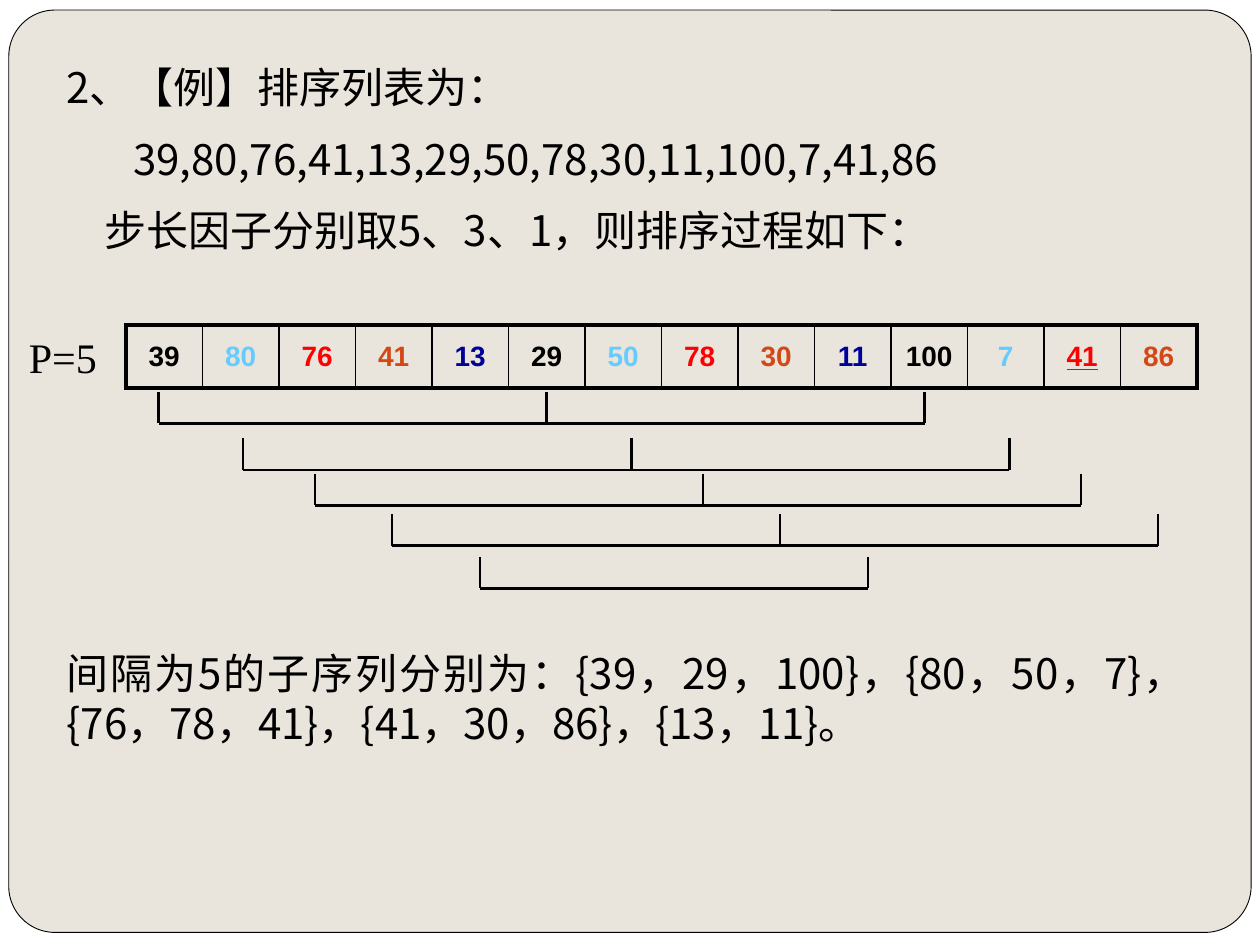
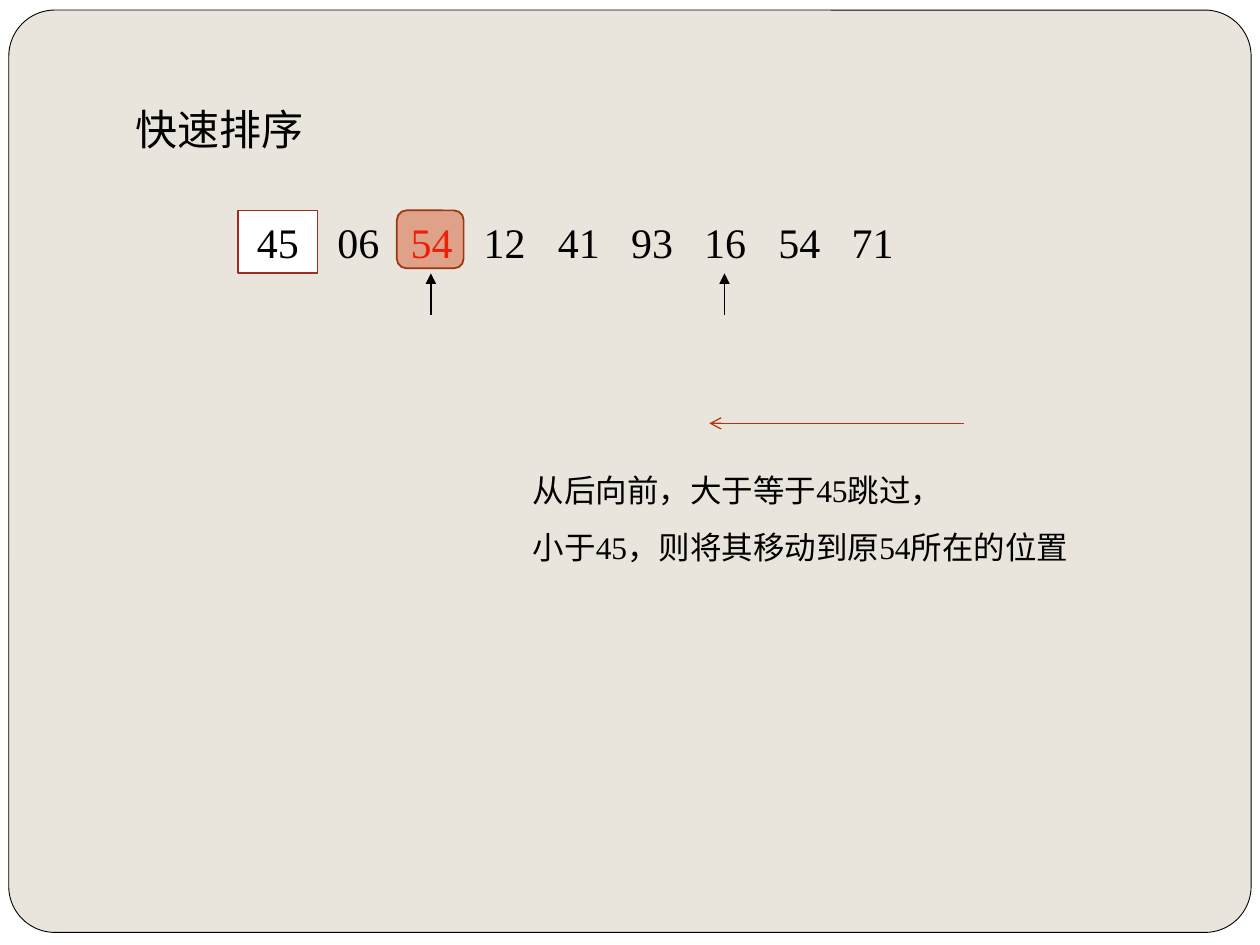
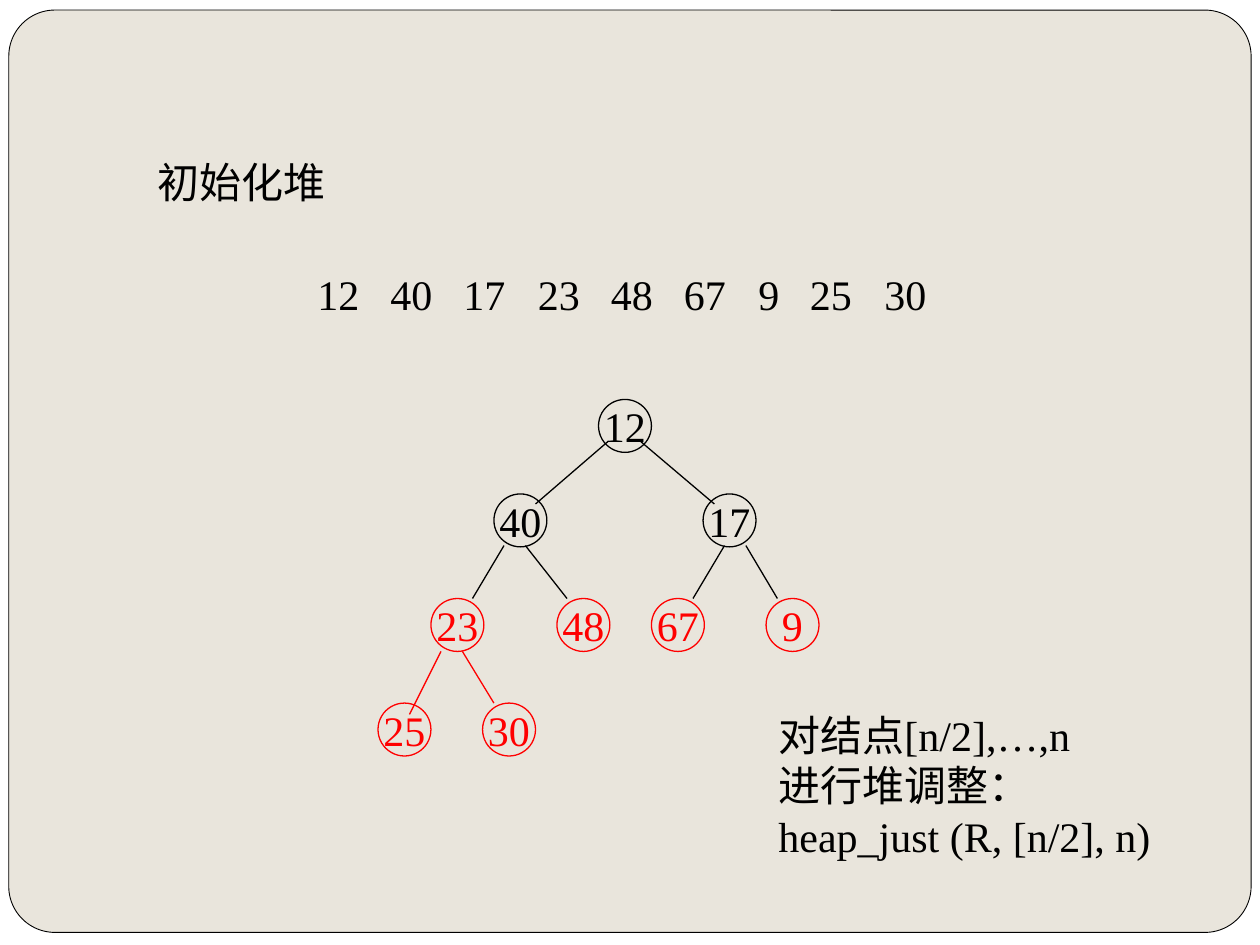
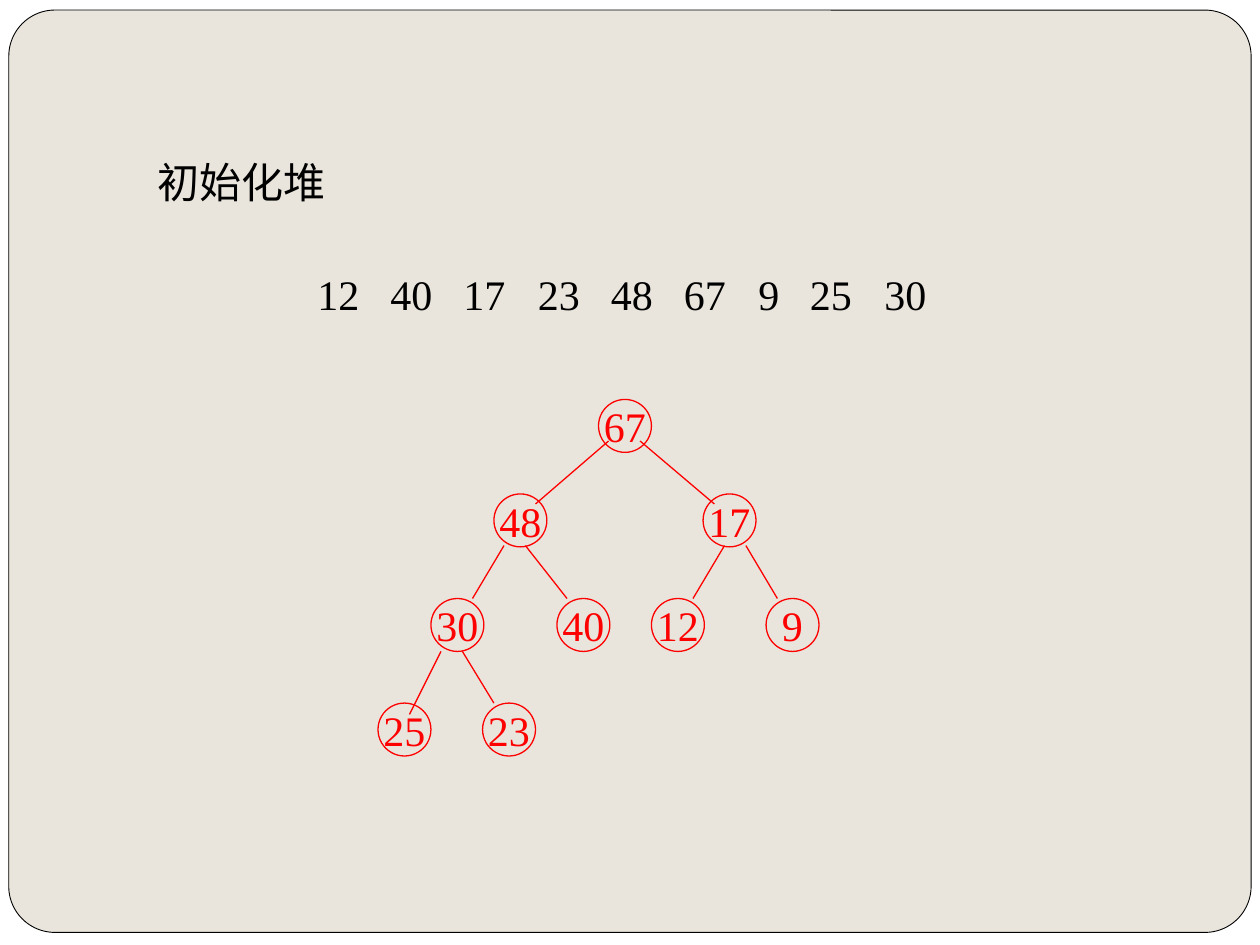
from dataclasses import dataclass
from lxml import etree
from pptx import Presentation
from pptx.dml.color import RGBColor
from pptx.enum.shapes import MSO_CONNECTOR, MSO_SHAPE
from pptx.enum.text import MSO_ANCHOR, MSO_AUTO_SIZE, PP_ALIGN
from pptx.oxml.ns import qn
from pptx.util import Pt

PX = 9144  # 100 px to the inch


@dataclass(frozen=True)
class Theme:
    paper: str = "E9E5DC"
    white: str = "FFFFFF"
    ink: str = "000000"
    red: str = "FF0000"
    sky: str = "66CCFF"
    orange: str = "D34817"
    navy: str = "000099"
    rust: str = "9C3511"
    brick: str = "9B2D1F"
    sweep: str = "B1360B"
    serif: str = "Times New Roman"
    sans: str = "Arial"
    cjk: str = "Noto Sans CJK SC"
    body: int = 24
    note: int = 18
    cell: int = 16


T = Theme()


def write(host, *paragraphs, at=None, size=T.body, font=T.serif, color=T.ink, bold=False,
          underline=False, align=PP_ALIGN.LEFT, wrap=None, before=0, spacing=None,
          indents=(), tabs=()):
    """Fill a shape or cell, or a new text box at the given place.

    A paragraph is a string or a list of (text, color) runs.
    """
    if at:
        frame = host.shapes.add_textbox(*(v * PX for v in at)).text_frame
        frame.auto_size = MSO_AUTO_SIZE.SHAPE_TO_FIT_TEXT
    else:
        frame = host.text_frame
    frame.word_wrap = wrap
    for i, content in enumerate(paragraphs):
        paragraph = frame.add_paragraph() if i else frame.paragraphs[0]
        paragraph.alignment = align
        properties = paragraph._p.get_or_add_pPr()
        if indents:
            properties.set("marL", str(indents[i] * PX))
        if tabs:
            stops = etree.SubElement(properties, qn("a:tabLst"))
            for stop in tabs:
                etree.SubElement(stops, qn("a:tab"), pos=str(stop * PX), algn="l")
        if spacing:
            paragraph.line_spacing = spacing
        if i and before:
            paragraph.space_before = Pt(before)
        for words, tint in [(content, color)] if isinstance(content, str) else content:
            run = paragraph.add_run()
            run.text = words
            run.font.size = Pt(size)
            run.font.name = font
            run.font.bold = bold
            run.font.underline = underline
            run.font.color.rgb = RGBColor.from_string(tint)
            etree.SubElement(run._r.get_or_add_rPr(), qn("a:ea"), typeface=T.cjk)
    return frame


def draw_line(host, start, end, color=T.ink, width=0.75, tip=None):
    line = host.shapes.add_connector(MSO_CONNECTOR.STRAIGHT, *(v * PX for v in (*start, *end)))
    line.line.color.rgb = RGBColor.from_string(color)
    line.line.width = Pt(width)
    if tip:
        etree.SubElement(line.line._get_or_add_ln(), qn("a:tailEnd"), type=tip)
    etree.SubElement(line._element.spPr, qn("a:effectLst"))


# Shared page: white ground with a rounded paper card
deck = Presentation()
deck.slide_width, deck.slide_height = 1000 * PX, 750 * PX
pages = [deck.slides.add_slide(deck.slide_layouts[6]) for _ in range(4)]
for page in pages:
    page.background.fill.solid()
    page.background.fill.fore_color.rgb = RGBColor.from_string(T.white)
    card = page.shapes.add_shape(MSO_SHAPE.ROUNDED_RECTANGLE, 7 * PX, 8 * PX, 986 * PX, 732 * PX)
    card.adjustments[0] = 0.05
    card.shadow.inherit = False
    card.fill.solid()
    card.fill.fore_color.rgb = RGBColor.from_string(T.paper)
    card.line.color.rgb = RGBColor.from_string(T.ink)
    card.line.width = Pt(0.5)
shell_page, quick_page, *heap_pages = pages

# Slide 1: Shell sort example
shell_values = [39, 80, 76, 41, 13, 29, 50, 78, 30, 11, 100, 7, 41, 86]
step = 5
write(shell_page, "2、【例】排序列表为：", ",".join(map(str, shell_values)),
      "步长因子分别取5、3、1，则排序过程如下：", at=(43, 44, 908, 172), font=T.cjk,
      align=PP_ALIGN.JUSTIFY, wrap=True, before=12, indents=(0, 53, 30))

# Values, coloured by subsequence
count = len(shell_values)
values_table = shell_page.shapes.add_table(1, count, 100 * PX, 258 * PX, 850 * PX, 50 * PX).table
values_table.first_row = values_table.horz_banding = False
group_colors = [T.ink, T.sky, T.red, T.orange, T.navy]
for i, value in enumerate(shell_values):
    values_table.columns[i].width = 850 * PX // count
    cell = values_table.cell(0, i)
    cell.vertical_anchor = MSO_ANCHOR.MIDDLE
    write(cell, str(value), size=T.cell, font=T.sans, color=group_colors[i % step],
          bold=True, underline=i == 12, align=PP_ALIGN.CENTER)
    edges = {"lnL": i == 0, "lnR": i == count - 1, "lnT": True, "lnB": True}
    for edge, outer in edges.items():
        border = etree.SubElement(cell._tc.get_or_add_tcPr(), qn(f"a:{edge}"),
                                  w=str(Pt(2.25 if outer else 1)))
        fill = etree.SubElement(border, qn("a:solidFill"))
        etree.SubElement(fill, qn("a:srgbClr"), val=T.ink)
    cell.fill.background()
write(shell_page, f"P={step}", at=(0, 258, 100, 50), align=PP_ALIGN.CENTER, wrap=True)

# Brackets joining each subsequence
for left, top, stems in [(126, 311, 3), (193, 348, 3), (250, 376, 3), (311, 408, 3), (381, 442, 2)]:
    bracket = shell_page.shapes.add_group_shape()
    stem_xs = [left + offset for offset in (0, 308, 608)[:stems]]
    for x in stem_xs:
        draw_line(bracket, (x, top), (x, top + 25), width=1.5)
    draw_line(bracket, (left, top + 25), (stem_xs[-1], top + 25), width=1.5)
write(shell_page, "间隔为5的子序列分别为：{39，29，100}，{80，50，7}，{76，78，41}，{41，30，86}，{13，11}。",
      at=(43, 509, 908, 90), font=T.cjk, align=PP_ALIGN.JUSTIFY, wrap=True)

# Slide 2: quick sort
row = write(quick_page, [("06\t", T.ink), ("54", T.red), ("\t12\t41\t93\t16\t54\t71", T.ink)],
            at=(258, 167, 462, 50), wrap=True, tabs=[i * 175 // 3 for i in range(1, 8)])
row.margin_right = 0
write(quick_page, "快速排序", at=(98, 77, 153, 50), wrap=False)
for x in (575, 342):
    draw_line(quick_page, (x, 250), (x, 217), tip="triangle")

# Vacated slot and pivot
slot = quick_page.shapes.add_shape(MSO_SHAPE.ROUNDED_RECTANGLE, 315 * PX, 167 * PX, 53 * PX, 46 * PX)
pivot = quick_page.shapes.add_shape(MSO_SHAPE.RECTANGLE, 189 * PX, 167 * PX, 63 * PX, 50 * PX)
for marker, fill_color, edge_color in [(slot, T.orange, T.rust), (pivot, T.white, T.brick)]:
    marker.shadow.inherit = False
    marker.fill.solid()
    marker.fill.fore_color.rgb = RGBColor.from_string(fill_color)
    marker.line.color.rgb = RGBColor.from_string(edge_color)
    marker.line.width = Pt(1)
slot_color = slot._element.spPr.find(qn("a:solidFill")).find(qn("a:srgbClr"))
etree.SubElement(slot_color, qn("a:alpha"), val="43000")
write(pivot, "45", align=PP_ALIGN.CENTER)

draw_line(quick_page, (765, 336), (563, 336), color=T.sweep, tip="arrow")
write(quick_page, "从后向前，大于等于45跳过，", "小于45，则将其移动到原54所在的位置",
      at=(413, 354, 482, 101), size=T.note, wrap=True, spacing=1.5)

# Slides 3 and 4: heap before and after adjustment, nodes in level order
heap_input = [12, 40, 17, 23, 48, 67, 9, 25, 30]
heap_result = [67, 48, 17, 30, 40, 12, 9, 25, 23]
node_places = [(475, 317), (392, 392), (558, 392), (342, 475), (442, 475), (517, 475),
               (608, 475), (300, 558), (383, 558)]
branches = [((483, 350), (425, 400)), ((508, 350), (567, 400)),
            ((400, 433), (375, 475)), ((417, 433), (450, 475)),
            ((575, 433), (550, 475)), ((592, 433), (617, 475)),
            ((350, 517), (325, 567)), ((367, 517), (392, 558))]

# Each stop follows the width of the numbers before it
input_tabs = []
reach = 0
for value in heap_input[:-1]:
    reach += 50 * len(str(value)) + 75
    input_tabs.append(reach // 3)

for page, values, first_red in zip(heap_pages, (heap_input, heap_result), (3, 0)):
    write(page, "初始化堆", at=(115, 119, 153, 50), wrap=False)
    row = write(page, "\t".join(map(str, heap_input)), at=(242, 208, 503, 50), wrap=True,
                tabs=input_tabs)
    row.margin_right = 0
    node_colors = [T.red if i >= first_red else T.ink for i in range(len(values))]
    for value, (x, y), color in zip(values, node_places, node_colors):
        node = page.shapes.add_shape(MSO_SHAPE.OVAL, x * PX, y * PX, 42 * PX, 42 * PX)
        node.shadow.inherit = False
        node.fill.background()
        node.line.color.rgb = RGBColor.from_string(color)
        node.line.width = Pt(0.75)
        write(node, str(value), color=color, align=PP_ALIGN.CENTER, wrap=False)
    for i, (start, end) in enumerate(branches):
        draw_line(page, start, end, color=node_colors[i // 2])

write(heap_pages[0], "对结点[n/2],…,n", "进行堆调整：", "heap_just (R, [n/2], n)",
      at=(608, 558, 315, 130), wrap=False)

deck.save("out.pptx")
